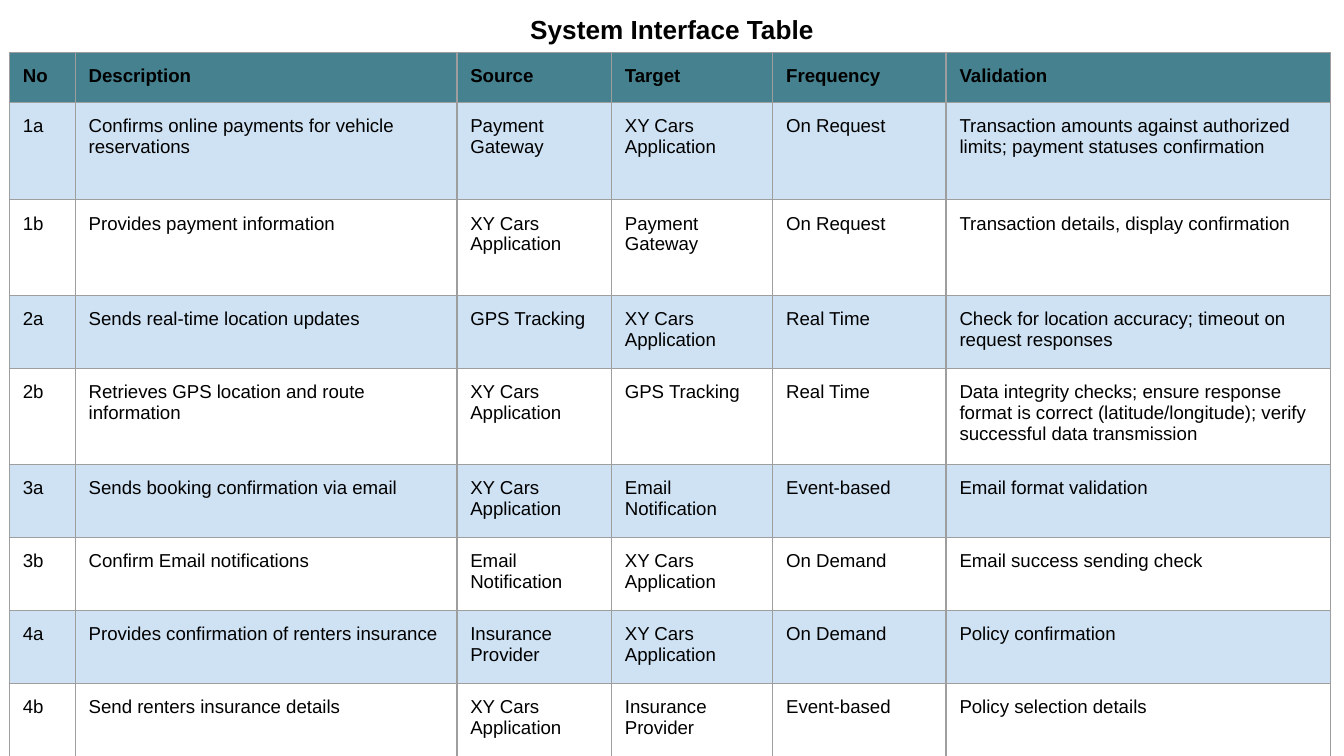
from lxml import etree
from pptx import Presentation
from pptx import util as u
from pptx.dml.color import RGBColor
from pptx.enum import text
from pptx.oxml.ns import qn

HEADER, BAND, BORDER, INK = "45818E", "CFE2F3", "9E9E9E", "000000"
APP, PAY, GPS = "XY Cars Application", "Payment Gateway", "GPS Tracking"
MAIL, INSURER = "Email Notification", "Insurance Provider"
TABLE_HEIGHT = 5.24
widths = [0.49, 2.84, 1.15, 1.2, 1.29, 2.86]
shares = [0.37, 0.72, 0.71, 0.54, 0.71, 0.54, 0.54, 0.54, 0.54]
heights = [TABLE_HEIGHT * share / sum(shares) for share in shares]
rows = [
    ("No", "Description", "Source", "Target", "Frequency", "Validation"),
    ("1a", "Confirms online payments for vehicle reservations", PAY, APP, "On Request",
     "Transaction amounts against authorized limits; payment statuses confirmation"),
    ("1b", "Provides payment information", APP, PAY, "On Request",
     "Transaction details, display confirmation"),
    ("2a", "Sends real-time location updates", GPS, APP, "Real Time",
     "Check for location accuracy; timeout on request responses"),
    ("2b", "Retrieves GPS location and route information", APP, GPS, "Real Time",
     "Data integrity checks; ensure response format is correct (latitude/longitude); "
     "verify successful data transmission"),
    ("3a", "Sends booking confirmation via email", APP, MAIL, "Event-based",
     "Email format validation"),
    ("3b", "Confirm Email notifications", MAIL, APP, "On Demand", "Email success sending check"),
    ("4a", "Provides confirmation of renters insurance", INSURER, APP, "On Demand",
     "Policy confirmation"),
    ("4b", "Send renters insurance details", APP, INSURER, "Event-based",
     "Policy selection details"),
]
margins = {f"margin_{side}": u.Inches(0.1) for side in ("left", "top", "right", "bottom")}


def rgb(color):
    return RGBColor.from_string(color)


def write(p, words, size, bold):
    r = p.add_run()
    r.text = words
    for key, value in {"name": "Arial", "size": u.Pt(size), "bold": bold}.items():
        setattr(r.font, key, value)
    r.font.color.rgb = rgb(INK)


prs = Presentation()
prs.slide_width, prs.slide_height = u.Inches(10), u.Inches(10 * 9 / 16)
s = prs.slides.add_slide(prs.slide_layouts[5])

title = s.shapes.title
box = {"left": 0.34, "top": 0, "width": 9.32, "height": 0.41}
for key, value in box.items():
    setattr(title, key, u.Inches(value))
tf = title.text_frame
frame = {"word_wrap": True, "auto_size": text.MSO_AUTO_SIZE.NONE,
         "vertical_anchor": text.MSO_ANCHOR.TOP, **margins}
for key, value in frame.items():
    setattr(tf, key, value)
tf.paragraphs[0].alignment = text.PP_ALIGN.CENTER
write(tf.paragraphs[0], "System Interface Table", 14, True)

table = s.shapes.add_table(len(rows), len(widths), u.Inches(0.07), u.Inches(0.39),
                           u.Inches(sum(widths)), u.Inches(TABLE_HEIGHT)).table
table.first_row = True
table.horz_banding = False
for column, width in zip(table.columns, widths):
    column.width = u.Inches(width)

for i, (row, height, words) in enumerate(zip(table.rows, heights, rows)):
    row.height = u.Inches(height)
    for cell, label in zip(row.cells, words):
        for key, value in margins.items():
            setattr(cell, key, value)
        write(cell.text_frame.paragraphs[0], label, 10, i == 0)
        tcPr = cell._tc.get_or_add_tcPr()
        for edge in ("a:lnL", "a:lnR", "a:lnT", "a:lnB"):
            ln = etree.SubElement(tcPr, qn(edge), w=str(u.Pt(0.75)))
            fill = etree.SubElement(ln, qn("a:solidFill"))
            etree.SubElement(fill, qn("a:srgbClr"), val=BORDER)
        if i % 2 or i == 0:
            cell.fill.solid()
            cell.fill.fore_color.rgb = rgb(BAND if i else HEADER)
        else:
            cell.fill.background()

prs.save("out.pptx")
